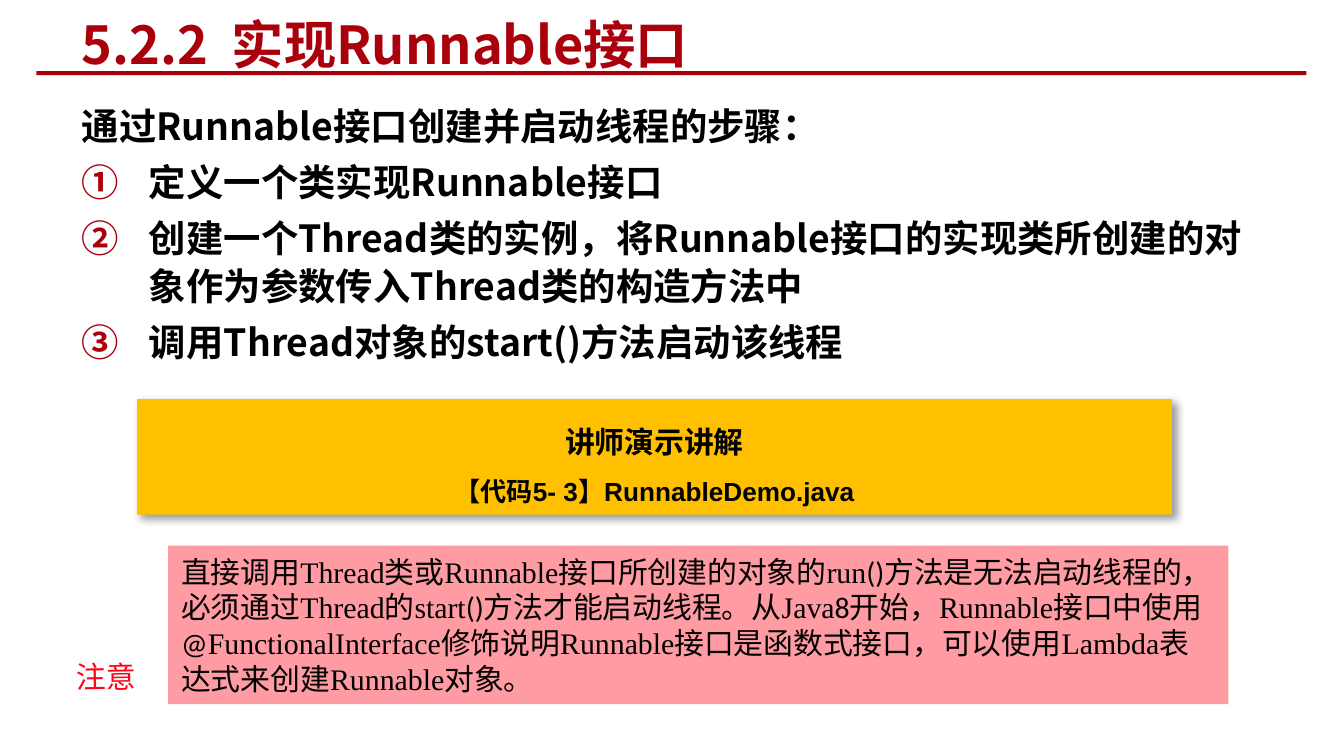
from dataclasses import dataclass, field
from typing import Any, NamedTuple

from lxml.etree import SubElement
from pptx import Presentation
from pptx.dml.color import RGBColor
from pptx.enum.shapes import MSO_SHAPE as Shape
from pptx.enum.text import MSO_ANCHOR as Anchor
from pptx.enum.text import MSO_AUTO_SIZE as AutoSize
from pptx.enum.text import PP_ALIGN as Align
from pptx.oxml.ns import qn
from pptx.util import Inches, Pt


@dataclass(frozen=True)
class Theme:
    red: str = "AA000B"
    gold: str = "FFC000"
    pink: str = "FF9BA2"
    alert: str = "FF0517"
    black: str = "000000"
    heading: str = "Noto Sans CJK SC"
    demo: str = "Arial"
    note: str = "Calibri"
    code: str = "Times New Roman"
    title_size: int = 28
    body_size: int = 20
    note_size: int = 16
    file_size: int = 14


THEME = Theme()


class Area(NamedTuple):
    left: float
    top: float
    width: float
    height: float


class Style(NamedTuple):
    font: str
    size: int
    color: str = THEME.black
    bold: bool = False


@dataclass(frozen=True)
class Line:
    """A paragraph; runs are pairs of text and style."""
    runs: list[tuple[str, Style]]
    hanging: float = 0
    numbered: bool = False
    formats: dict[str, Any] = field(default_factory=dict)


TITLE = Style(THEME.heading, THEME.title_size, THEME.red, True)
BODY = Style(THEME.heading, THEME.body_size, bold=True)
DEMO = Style(THEME.demo, THEME.note_size, bold=True)
NOTE = Style(THEME.note, THEME.note_size)
CODE = Style(THEME.code, THEME.note_size)
LABEL = Style(THEME.heading, THEME.note_size, THEME.alert)

INTRO = "通过Runnable接口创建并启动线程的步骤："
STEPS = [
    "定义一个类实现Runnable接口",
    "创建一个Thread类的实例，将Runnable接口的实现类所创建的对象作为参数传入Thread类的构造方法中",
    "调用Thread对象的start()方法启动该线程",
]
# Every second part between bars is set in the code font.
WARNING = (
    "直接调用|Thread|类或|Runnable|接口所创建的对象的|run|()方法是无法启动线程的，必须通过|Thread|的|start|"
    "()方法才能启动线程。从|Java|8开始，|Runnable|接口中使用@|FunctionalInterface|修饰说明|Runnable|"
    "接口是函数式接口，可以使用|Lambda|表达式来创建|Runnable|对象。"
)


def place(shape, area: Area) -> None:
    for name, value in area._asdict().items():
        setattr(shape, name, Inches(value))


def add_run(para, text: str, style: Style) -> None:
    span = para.add_run()
    span.text = text
    formats = {"name": style.font, "size": Pt(style.size), "bold": style.bold}
    for name, value in formats.items():
        setattr(span.font, name, value)
    span.font.color.rgb = RGBColor.from_string(style.color)
    SubElement(span.font._element, qn("a:ea"), typeface=THEME.heading)


def write(shape, lines: list[Line], **frame_formats: Any) -> None:
    frame = shape.text_frame
    for name, value in {"word_wrap": True, "vertical_anchor": Anchor.TOP, **frame_formats}.items():
        setattr(frame, name, value)
    for index, line in enumerate(lines):
        para = frame.add_paragraph() if index else frame.paragraphs[0]
        props = para._p.get_or_add_pPr()
        if line.hanging:
            props.set("marL", str(Inches(line.hanging)))
            props.set("indent", str(Inches(-line.hanging)))
        if line.numbered:
            color = SubElement(props, qn("a:buClr"))
            SubElement(color, qn("a:srgbClr"), val=THEME.red)
            SubElement(props, qn("a:buAutoNum"), type="circleNumDbPlain")
        for name, value in {"alignment": Align.LEFT, **line.formats}.items():
            setattr(para, name, value)
        for text, style in line.runs:
            add_run(para, text, style)


def add_panel(slide, area: Area, color: str):
    panel = slide.shapes.add_shape(Shape.RECTANGLE, *map(Inches, area))
    panel.shadow.inherit = False
    panel.fill.solid()
    panel.fill.fore_color.rgb = RGBColor.from_string(color)
    panel.line.fill.background()
    return panel


def add_text_box(slide, area: Area):
    return slide.shapes.add_textbox(*map(Inches, area))


def cast_shadow(panel) -> None:
    effects = panel._element.spPr.find(qn("a:effectLst"))
    shadow = SubElement(effects, qn("a:outerShdw"), blurRad=str(Pt(4)), dist=str(Pt(3)),
                        dir=str(45 * 60000), algn="tl", rotWithShape="0")
    color = SubElement(shadow, qn("a:srgbClr"), val=THEME.black)
    SubElement(color, qn("a:alpha"), val="40000")


def main() -> None:
    deck = Presentation()
    deck.slide_width = Inches(10)
    deck.slide_height = deck.slide_width * 9 // 16
    slide = deck.slides.add_slide(deck.slide_layouts[5])

    add_panel(slide, Area(0.27, 0.53, 9.45, 0.03), THEME.red)

    title = slide.shapes.title
    place(title, Area(0.51, 0.02, 6.36, 0.61))
    write(title, [Line([("5.2.2  实现Runnable接口", TITLE)])],
          vertical_anchor=Anchor.MIDDLE, auto_size=AutoSize.NONE)

    step_formats = {"line_spacing": Pt(26), "space_before": Pt(4)}
    intro = Line([(INTRO, BODY)], 0.38, formats={"line_spacing": 1.5})
    steps = [Line([(step, BODY)], 0.5, True, step_formats) for step in STEPS]
    write(add_text_box(slide, Area(0.51, 0.55, 8.94, 4.77)), [intro, *steps])

    demo = add_panel(slide, Area(1.02, 2.97, 7.7, 0.86), THEME.gold)
    cast_shadow(demo)
    demo_formats = {"alignment": Align.CENTER, "line_spacing": 1.5}
    demo_texts = [("讲师演示讲解", DEMO),
                  ("【代码5- 3】RunnableDemo.java", DEMO._replace(size=THEME.file_size))]
    write(demo, [Line([text], 0.38, formats=demo_formats) for text in demo_texts])

    label = add_text_box(slide, Area(0.47, 4.85, 0.7, 0.37))
    label.rotation = 359
    write(label, [Line([("注意", LABEL)])], auto_size=AutoSize.SHAPE_TO_FIT_TEXT)

    warning = add_panel(slide, Area(1.25, 4.06, 7.89, 1.18), THEME.pink)
    runs = [(part, CODE if index % 2 else NOTE) for index, part in enumerate(WARNING.split("|"))]
    write(warning, [Line(runs)], vertical_anchor=Anchor.MIDDLE,
          auto_size=AutoSize.SHAPE_TO_FIT_TEXT)

    deck.save("out.pptx")


if __name__ == "__main__":
    main()
